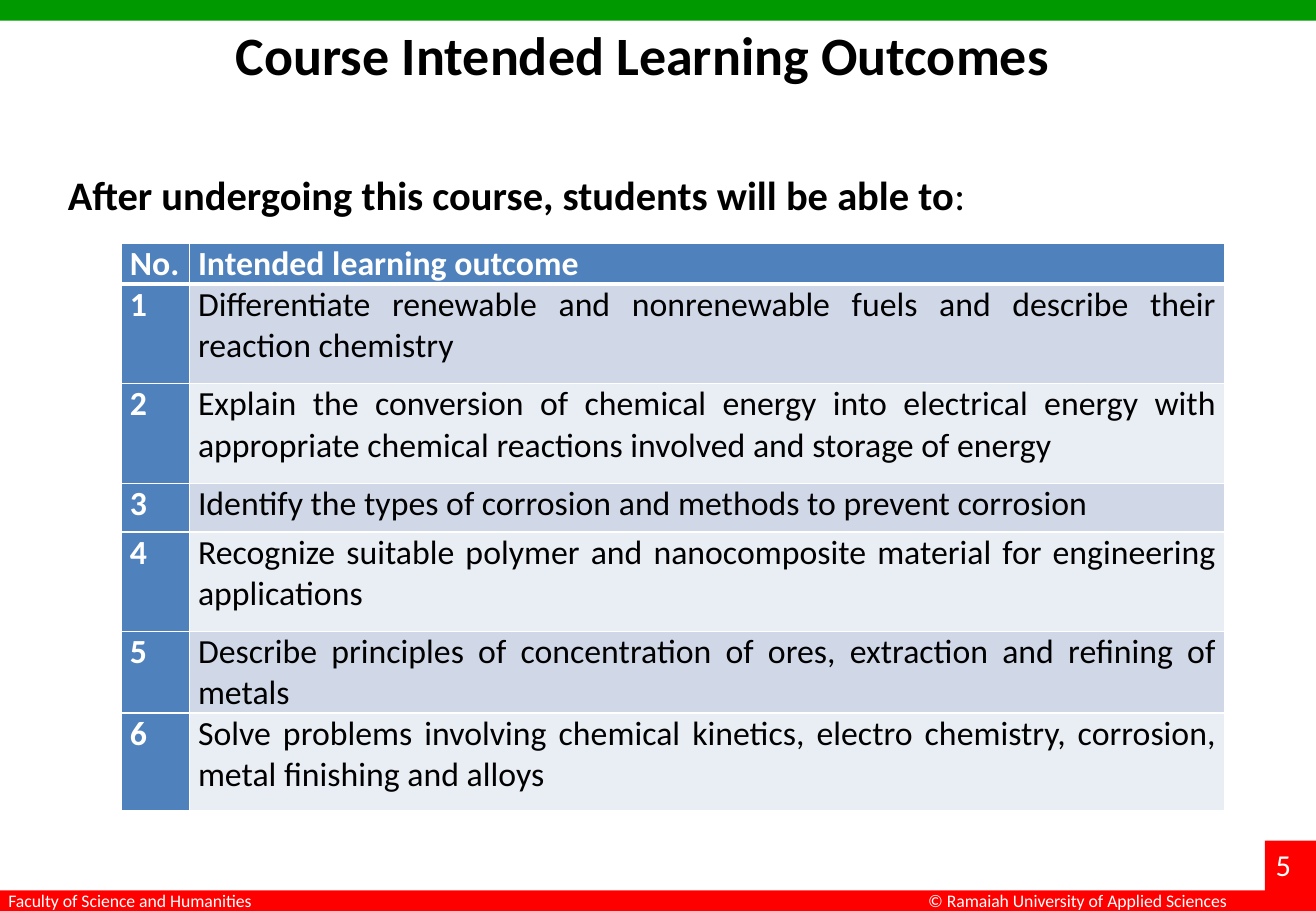
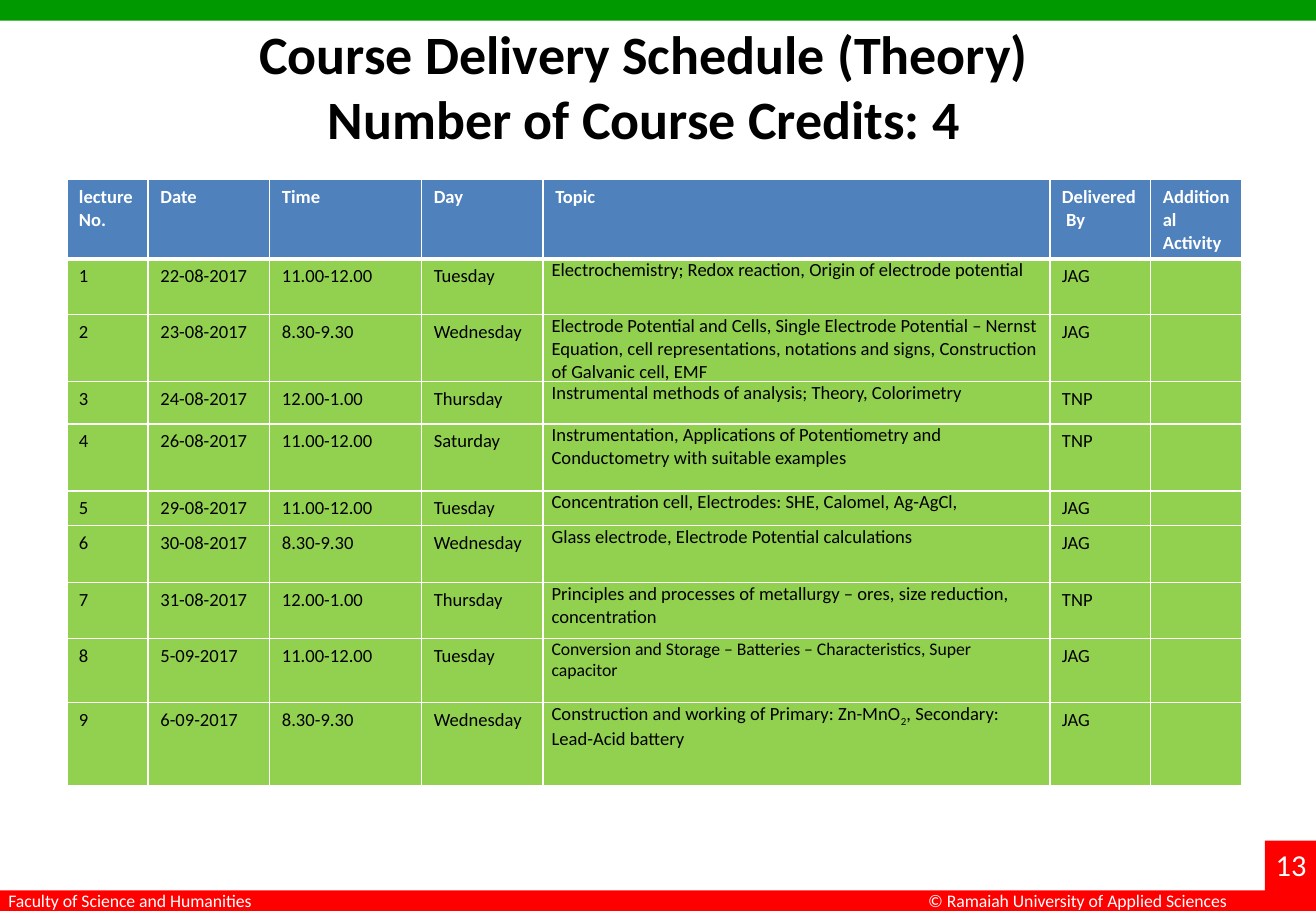
"""Build the course outcome and delivery schedule slides."""
import pptx
import pptx.util
import pptx.dml.color
import pptx.enum.shapes
import pptx.enum.text
import pptx.oxml.ns
from lxml import etree

Inches = pptx.util.Inches
Pt = pptx.util.Pt
ALIGN = pptx.enum.text.PP_ALIGN
FONT = "Calibri"
WIDTH, HEIGHT = 10.83, 7.5
BAND = 0.17
COLORS = {
    "top": "009900", "footer": "FF0000", "white": "FFFFFF", "black": "000000",
    "header": "4F81BD", "odd": "D0D8E8", "even": "E9EDF4", "lecture": "92D050",
}
TIGHT = (0.07, 0)
ROOMY = (0.1, 0.05)

OUTCOMES = [
    "Differentiate renewable and nonrenewable fuels and describe their reaction chemistry",
    "Explain the conversion of chemical energy into electrical energy with appropriate "
    "chemical reactions involved and storage of energy",
    "Identify the types of corrosion and methods to prevent corrosion",
    "Recognize suitable polymer and nanocomposite material for engineering applications",
    "Describe principles of concentration of ores, extraction and refining of metals",
    "Solve problems involving chemical kinetics, electro chemistry, corrosion, "
    "metal finishing and alloys",
]
OUTCOME_HEIGHTS = [0.34, 0.82, 0.82, 0.4, 0.82, 0.67, 0.81]

SCHEDULE_HEADER = [["lecture No."], ["Date"], ["Time"], ["Day"], ["Topic"],
                   ["Delivered", " By"], ["Additional Activity"]]
MORNING, NOON, EARLY = "11.00-12.00", "12.00-1.00", "8.30-9.30"
LECTURES = [
    ("22-08-2017", MORNING, "Tuesday",
     ["Electrochemistry; Redox reaction, Origin of electrode potential"], "JAG"),
    ("23-08-2017", EARLY, "Wednesday",
     ["Electrode Potential and Cells, Single Electrode Potential – Nernst Equation, cell "
      "representations, notations and signs, Construction of Galvanic cell, EMF"], "JAG"),
    ("24-08-2017", NOON, "Thursday",
     ["Instrumental methods of analysis; Theory, Colorimetry"], "TNP"),
    ("26-08-2017", MORNING, "Saturday",
     ["Instrumentation, Applications of Potentiometry and Conductometry with suitable "
      "examples"], "TNP"),
    ("29-08-2017", MORNING, "Tuesday",
     ["Concentration cell, Electrodes: SHE, Calomel, Ag-AgCl,"], "JAG"),
    ("30-08-2017", EARLY, "Wednesday",
     ["Glass electrode, Electrode Potential calculations"], "JAG"),
    ("31-08-2017", NOON, "Thursday",
     ["Principles and processes of metallurgy – ores, size reduction, concentration"], "TNP"),
    ("5-09-2017", MORNING, "Tuesday",
     [("Conversion and Storage – Batteries – Characteristics, Super capacitor",
       {"size": 10.5})], "JAG"),
    ("6-09-2017", EARLY, "Wednesday",
     ["Construction and working of Primary: Zn-MnO", ("2", {"baseline": -25}),
      ", Secondary: Lead-Acid battery"], "JAG"),
]
SCHEDULE_HEIGHTS = [0.65, 0.46, 0.54, 0.35, 0.55, 0.28, 0.47, 0.46, 0.53, 0.68]
TOPIC = 4


def rgb(name):
    """Return the named colour."""
    return pptx.dml.color.RGBColor.from_string(COLORS[name])


def add_runs(paragraph, runs, size, color, bold=False):
    """Add runs, each a string or a pair of string and changes."""
    for item in runs:
        text, changes = (item, {}) if isinstance(item, str) else item
        run = paragraph.add_run()
        run.text = text
        run.font.name = FONT
        run.font.size = Pt(changes.get("size", size))
        run.font.bold = changes.get("bold", bold)
        run.font.color.rgb = rgb(color)
        if "baseline" in changes:
            run.font._element.set("baseline", str(changes["baseline"] * 1000))


def fill_text(frame, paragraphs, size, color, bold=False, align=ALIGN.LEFT):
    """Write paragraphs, each a list of runs, into a text frame."""
    for index, runs in enumerate(paragraphs):
        paragraph = frame.add_paragraph() if index else frame.paragraphs[0]
        paragraph.alignment = align
        add_runs(paragraph, runs, size, color, bold)


def add_text(slide, box, runs, size, color, bold=False, align=ALIGN.LEFT):
    """Add a wrapping text box with one paragraph."""
    frame = slide.shapes.add_textbox(*map(Inches, box)).text_frame
    frame.word_wrap = True
    fill_text(frame, [runs], size, color, bold, align)


def add_block(slide, box, color):
    """Add a plain filled rectangle."""
    block = slide.shapes.add_shape(
        pptx.enum.shapes.MSO_SHAPE.RECTANGLE, *map(Inches, box))
    block.shadow.inherit = False
    block.fill.solid()
    block.fill.fore_color.rgb = rgb(color)
    block.line.fill.background()


def add_frame(slide, number):
    """Draw the bands, footer and slide number."""
    bottom = HEIGHT - BAND
    add_block(slide, (0, 0, WIDTH, BAND), "top")
    add_block(slide, (0, bottom, WIDTH, BAND), "footer")
    add_block(slide, (WIDTH - 0.42, 6.92, 0.42, 0.58), "footer")
    for left, width, text in [(7.54, 2.8, "© Ramaiah University of Applied Sciences"),
                              (-0.03, 3.19, "Faculty of Science and Humanities")]:
        add_text(slide, (left, bottom - 0.05, width, 0.28), [text], 10.5, "white")
    add_text(slide, (10.4, 6.92, 0.5, 0.4), [str(number)], 18, "white")


def add_slide(deck, number, title_box, title_lines, align):
    """Add a slide with the shared frame and a title."""
    slide = deck.slides.add_slide(deck.slide_layouts[5])
    add_frame(slide, number)
    title = slide.shapes.title
    title.left, title.top, title.width, title.height = map(Inches, title_box)
    title.text_frame.vertical_anchor = pptx.enum.text.MSO_ANCHOR.TOP
    fill_text(title.text_frame, [[line] for line in title_lines], 32, "black", True, align)
    return slide


def add_borders(cell, row):
    """Draw white cell borders, thick below the header row."""
    thick_side = {0: "lnB", 1: "lnT"}.get(row)
    properties = cell._tc.get_or_add_tcPr()
    for side in ("lnL", "lnR", "lnT", "lnB"):
        points = 3 if side == thick_side else 1
        line = etree.SubElement(properties, pptx.oxml.ns.qn("a:" + side), w=str(Pt(points)))
        solid = etree.SubElement(line, pptx.oxml.ns.qn("a:solidFill"))
        etree.SubElement(solid, pptx.oxml.ns.qn("a:srgbClr"), val=COLORS["white"])


def set_cell(cell, row, paragraphs, fill, size, insets, header, align=ALIGN.LEFT):
    """Style one table cell and write its text."""
    cell.margin_left = cell.margin_right = Inches(insets[0])
    cell.margin_top = cell.margin_bottom = Inches(insets[1])
    add_borders(cell, row)
    cell.fill.solid()
    cell.fill.fore_color.rgb = rgb(fill)
    if paragraphs:
        color = "white" if header else "black"
        fill_text(cell.text_frame, paragraphs, size, color, header, align)
    else:
        etree.SubElement(cell.text_frame.paragraphs[0]._p,
                         pptx.oxml.ns.qn("a:endParaRPr"), sz=str(size * 100))


def add_grid(slide, left, top, widths, heights):
    """Add an empty table with the given column widths and row heights."""
    table = slide.shapes.add_table(
        len(heights), len(widths), Inches(left), Inches(top),
        Inches(sum(widths)), Inches(sum(heights))).table
    table.horz_banding = False
    for column, width in zip(table.columns, widths):
        column.width = Inches(width)
    for row, height in zip(table.rows, heights):
        row.height = Inches(height)
    return table


def add_outcome_table(slide, left, top):
    """Place the table of learning outcomes."""
    table = add_grid(slide, left, top, [0.56, 8.52], OUTCOME_HEIGHTS)
    rows = [("No.", "Intended learning outcome")]
    rows += [(str(number), outcome) for number, outcome in enumerate(OUTCOMES, 1)]
    for row, texts in enumerate(rows):
        for column, text in enumerate(texts):
            header = row == 0 or column == 0
            fill = "header" if header else ("odd" if row % 2 else "even")
            set_cell(table.cell(row, column), row, [[text]], fill, 20, TIGHT, header,
                     ALIGN.LEFT if header else ALIGN.JUSTIFY)


def add_schedule_table(slide, left, top):
    """Place the table of lectures."""
    table = add_grid(slide, left, top, [0.67, 1, 1.25, 1, 4.17, 0.83, 0.75],
                     SCHEDULE_HEIGHTS)
    rows = [[[[line] for line in lines] for lines in SCHEDULE_HEADER]]
    for number, (date, time, day, topic, lecturer) in enumerate(LECTURES, 1):
        rows.append([[[str(number)]], [[date]], [[time]], [[day]], [topic], [[lecturer]], []])
    for row, cells in enumerate(rows):
        header = row == 0
        for column, paragraphs in enumerate(cells):
            insets = TIGHT if column == TOPIC and not header else ROOMY
            set_cell(table.cell(row, column), row, paragraphs,
                     "header" if header else "lecture", 11, insets, header)


def add_outcome_slide(deck):
    """Build the learning outcomes slide."""
    slide = add_slide(deck, 5, (1.84, 0.13, 7.2, 0.64),
                      ["Course Intended Learning Outcomes"], ALIGN.LEFT)
    add_text(slide, (0.46, 1.35, 10, 0.5),
             ["After undergoing this course, students will be able to", (":", {"bold": False})],
             24, "black", True, ALIGN.JUSTIFY)
    add_outcome_table(slide, 1, 2)


def add_schedule_slide(deck):
    """Build the delivery schedule slide."""
    slide = add_slide(deck, 13, (1.64, 0.12, 7.32, 1.18),
                      ["Course Delivery Schedule (Theory)", "Number of Course Credits: 4"],
                      ALIGN.CENTER)
    add_schedule_table(slide, 0.55, 1.48)


def main():
    """Build and save the presentation."""
    deck = pptx.Presentation()
    deck.slide_width, deck.slide_height = Inches(WIDTH), Inches(HEIGHT)
    add_outcome_slide(deck)
    add_schedule_slide(deck)
    deck.save("out.pptx")


if __name__ == "__main__":
    main()
